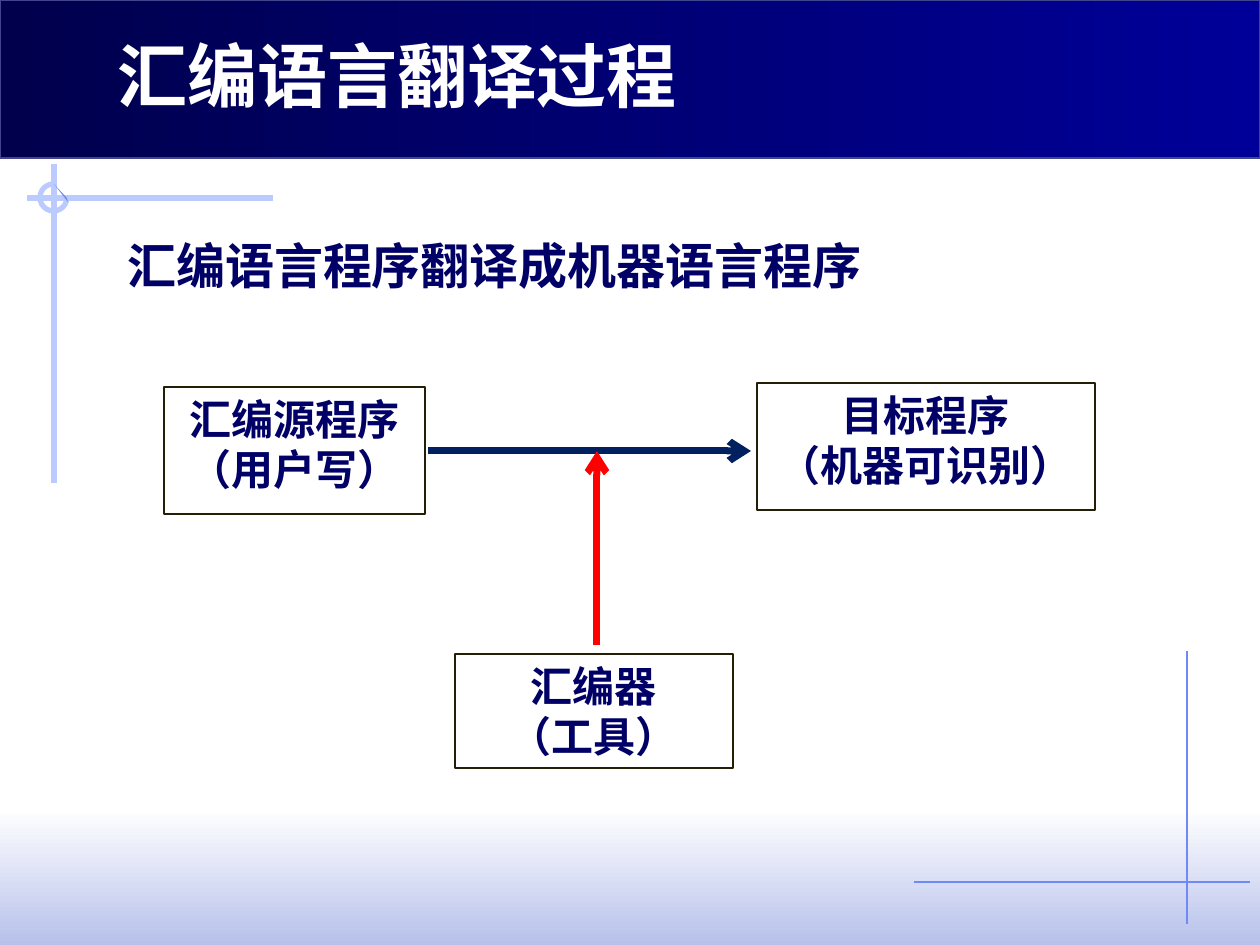
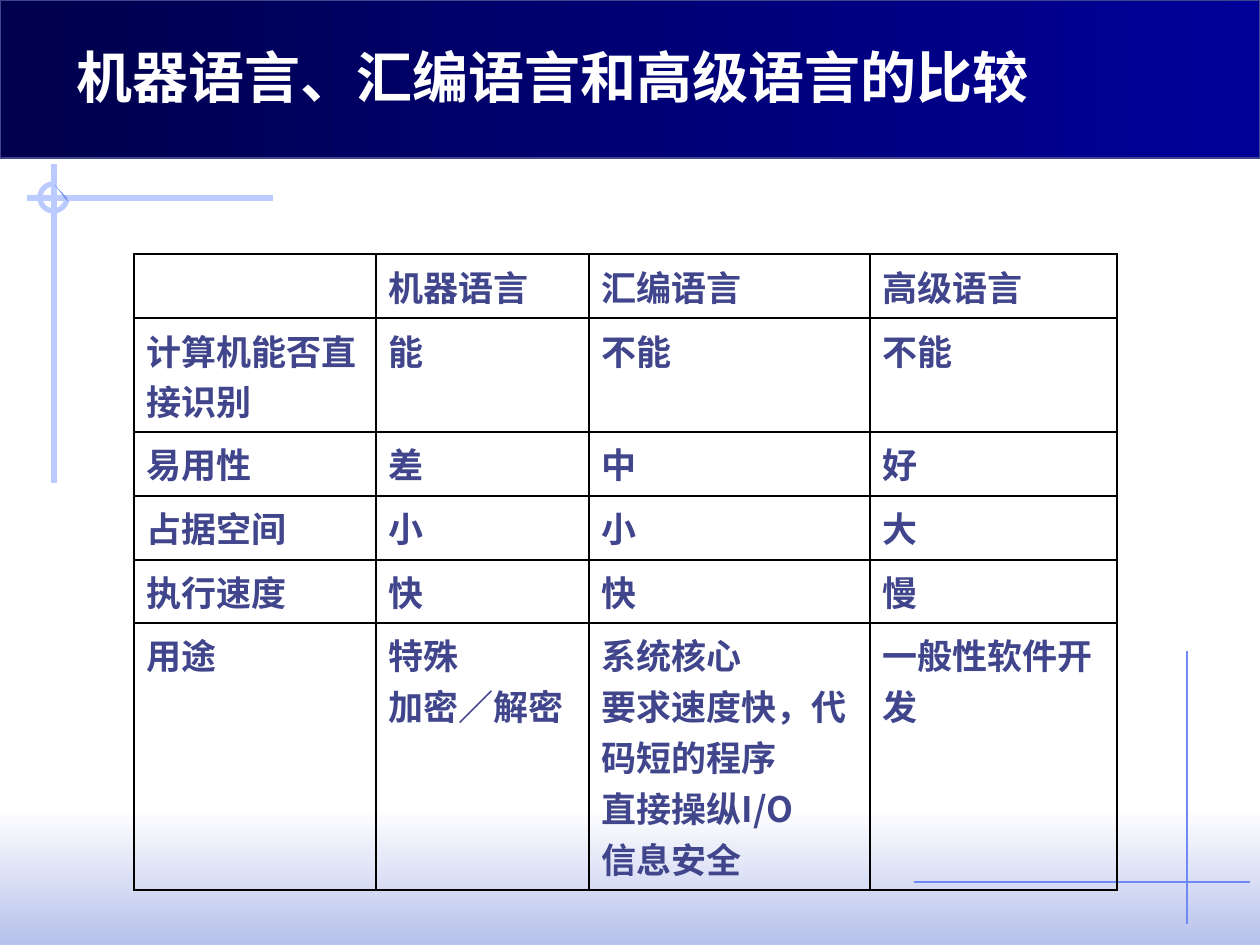
import pptx
import pptx.dml.color
import pptx.enum.shapes
import pptx.enum.text
import pptx.oxml
import pptx.oxml.ns
import pptx.util
from lxml import etree

RGBColor = pptx.dml.color.RGBColor
SHAPE = pptx.enum.shapes.MSO_SHAPE
ALIGN = pptx.enum.text.PP_ALIGN
ANCHOR = pptx.enum.text.MSO_ANCHOR

WHITE = RGBColor(0xFF, 0xFF, 0xFF)
BLACK = RGBColor(0x00, 0x00, 0x00)
BAND_DARK = RGBColor(0x00, 0x00, 0x4D)
BAND_BRIGHT = RGBColor(0x00, 0x00, 0x99)
SLATE = RGBColor(0x40, 0x45, 0x8C)
FOOT_BLUE = RGBColor(0xB7, 0xC1, 0xEB)
PALE_BLUE = RGBColor(0xBB, 0xCB, 0xFD)
MID_BLUE = RGBColor(0x6F, 0x89, 0xF7)
NAVY = RGBColor(0x00, 0x00, 0x66)
FLOW_BLUE = RGBColor(0x00, 0x20, 0x60)
RED = RGBColor(0xFF, 0x00, 0x00)
BOX_EDGE = RGBColor(0x25, 0x1E, 0x07)

TITLE_FONT = "Noto Sans CJK JP"
BODY_FONT = "Noto Sans CJK SC"
BOX_FONT = "Arial"

PAGE_WIDTH, PAGE_HEIGHT = 1260, 945
BAND_HEIGHT = 158
FOOT_HEIGHT = 136

COLUMN_WIDTHS = [242, 213, 281, 247]
ROW_HEIGHTS = [64, 114, 64, 64, 63, 267]
COMPARISON = [
    ["", "机器语言", "汇编语言", "高级语言"],
    ["计算机能否直接识别", "能", "不能", "不能"],
    ["易用性", "差", "中", "好"],
    ["占据空间", "小", "小", "大"],
    ["执行速度", "快", "快", "慢"],
    ["用途", "特殊\n加密／解密",
     "系统核心\n要求速度快，代码短的程序\n直接操纵I/O\n信息安全", "一般性软件开发"],
]


def px(length):
    """Turn px into EMU at 126 px to the inch."""
    return pptx.util.Emu(round(length * 914400 / 126))


def write_text(frame, text, font=BODY_FONT, size=20, color=NAVY,
               align=ALIGN.LEFT, spacing=None):
    """Fill a text frame with one bold paragraph for each line of text."""
    frame.word_wrap = True
    for index, line in enumerate(text.split("\n")):
        para = frame.paragraphs[0] if index == 0 else frame.add_paragraph()
        para.alignment = align
        para.line_spacing = spacing
        span = para.add_run()
        span.text = line
        span.font.name = font
        span.font.size = pptx.util.Pt(size)
        span.font.bold = True
        span.font.color.rgb = color
        east_asian = etree.SubElement(span._r.get_or_add_rPr(), pptx.oxml.ns.qn("a:ea"))
        east_asian.set("typeface", font)


def add_text(page, box, text, anchor=ANCHOR.TOP, **style):
    """Add a text box."""
    label = page.shapes.add_textbox(*map(px, box))
    label.text_frame.vertical_anchor = anchor
    write_text(label.text_frame, text, **style)


def set_line(shape, color, width):
    """Give an outline its colour and its width in points."""
    shape.line.color.rgb = color
    shape.line.width = pptx.util.Pt(width)


def add_plain_shape(page, kind, box):
    """Add a preset shape with no shadow, fill or line."""
    shape = page.shapes.add_shape(kind, *map(px, box))
    shape.shadow.inherit = False
    shape.fill.background()
    shape.line.fill.background()
    return shape


def add_gradient(page, box, colors, angle):
    """Add a rectangle with a two-colour gradient."""
    shape = add_plain_shape(page, SHAPE.RECTANGLE, box)
    shape.fill.gradient()
    shape.fill.gradient_angle = angle
    for stop, color in zip(shape.fill.gradient_stops, colors):
        stop.color.rgb = color
    return shape


def add_line(page, start, end, color, width, arrow=False):
    """Add a straight line, with an open arrowhead at its end if asked."""
    line = page.shapes.add_connector(
        pptx.enum.shapes.MSO_CONNECTOR.STRAIGHT, *map(px, (*start, *end)))
    set_line(line, color, width)
    if arrow:
        head = etree.SubElement(line.line._get_or_add_ln(), pptx.oxml.ns.qn("a:tailEnd"))
        head.set("type", "arrow")
    etree.SubElement(line._element.spPr, pptx.oxml.ns.qn("a:effectLst"))


def add_crosshair(page, left, top):
    """Draw the ringed cross at the upper left of a page."""
    center_x, center_y = left + 27, top + 34
    add_line(page, (left + 246, center_y), (left, center_y), PALE_BLUE, 3)
    add_line(page, (center_x, top), (center_x, top + 319), PALE_BLUE, 3)
    ring = add_plain_shape(page, SHAPE.ARC, (center_x - 14, center_y - 14, 27, 27))
    ring.adjustments[0] = 0
    ring.adjustments[1] = 162
    set_line(ring, PALE_BLUE, 3)
    builder = page.shapes.build_freeform(px(center_x), px(center_y - 14))
    builder.add_line_segments([(px(center_x + 13), px(center_y)),
                               (px(center_x + 14), px(center_y + 4))])
    wedge = builder.convert_to_shape()
    wedge.shadow.inherit = False
    wedge.fill.solid()
    wedge.fill.fore_color.rgb = MID_BLUE
    wedge.line.fill.background()


def add_page(deck, title, title_box, title_size):
    """Add a page with the shared bands, crosses and title."""
    page = deck.slides.add_slide(deck.slide_layouts[6])
    add_gradient(page, (0, PAGE_HEIGHT - FOOT_HEIGHT, PAGE_WIDTH, FOOT_HEIGHT),
                 (WHITE, FOOT_BLUE), 270)
    add_line(page, (1187, 651), (1187, 924), MID_BLUE, 0.75)
    add_crosshair(page, 27, 164)
    band = add_gradient(page, (0, 0, PAGE_WIDTH, BAND_HEIGHT), (BAND_DARK, BAND_BRIGHT), 0)
    set_line(band, SLATE, 0.75)
    add_line(page, (914, 882), (1250, 882), MID_BLUE, 0.75)
    add_text(page, title_box, title, anchor=ANCHOR.MIDDLE, font=TITLE_FONT,
             size=title_size, color=WHITE)
    return page


def add_step(page, box, text):
    """Add one outlined box of the translation diagram."""
    step = add_plain_shape(page, SHAPE.RECTANGLE, box)
    set_line(step, BOX_EDGE, 0.75)
    step.text_frame.vertical_anchor = ANCHOR.TOP
    write_text(step.text_frame, text, font=BOX_FONT, size=24, align=ALIGN.CENTER)


def add_translation_diagram(page, left, top):
    """Draw source, target and assembler, joined by arrows."""
    add_step(page, (left, top + 4, 261, 127), "汇编源程序\n（用户写）")
    add_step(page, (left + 593, top, 338, 127), "目标程序\n（机器可识别）")
    add_step(page, (left + 291, top + 271, 278, 114), "汇编器\n（工具）")
    flow_y, tool_x = top + 68, left + 433
    add_line(page, (left + 264, flow_y), (left + 587, flow_y), FLOW_BLUE, 4, arrow=True)
    add_line(page, (tool_x, top + 262), (tool_x, flow_y), RED, 4, arrow=True)


def set_borders(cell):
    """Draw a thin black line on each side of a table cell."""
    properties = cell._tc.get_or_add_tcPr()
    for index, side in enumerate(("lnL", "lnR", "lnT", "lnB")):
        border = pptx.oxml.parse_xml(
            f'<a:{side} {pptx.oxml.ns.nsdecls("a")} w="12700"><a:solidFill>'
            f'<a:srgbClr val="{BLACK}"/></a:solidFill></a:{side}>')
        properties.insert(index, border)


def add_comparison_table(page, left, top):
    """Add the table that compares the three kinds of language."""
    frame = page.shapes.add_table(
        len(ROW_HEIGHTS), len(COLUMN_WIDTHS), px(left), px(top),
        px(sum(COLUMN_WIDTHS)), px(sum(ROW_HEIGHTS)))
    table = frame.table
    table.first_row = table.horz_banding = False
    for column, width in zip(table.columns, COLUMN_WIDTHS):
        column.width = px(width)
    for row, height, texts in zip(table.rows, ROW_HEIGHTS, COMPARISON):
        row.height = px(height)
        for cell, text in zip(row.cells, texts):
            cell.fill.background()
            set_borders(cell)
            if text:
                write_text(cell.text_frame, text, color=SLATE)


def build_translation_page(deck):
    """Build the page on how assembly language is translated."""
    page = add_page(deck, "汇编语言翻译过程", (105, 26, 1002, 97), 40)
    add_text(page, (115, 241, 1094, 70), "汇编语言程序翻译成机器语言程序",
             size=28, spacing=0.8)
    add_translation_diagram(page, 164, 383)


def build_comparison_page(deck):
    """Build the page that compares the languages."""
    page = add_page(deck, "机器语言、汇编语言和高级语言的比较", (64, 36, 1002, 81), 32)
    add_comparison_table(page, 134, 254)


def main():
    """Build and save the deck."""
    deck = pptx.Presentation()
    deck.slide_width = px(PAGE_WIDTH)
    deck.slide_height = px(PAGE_HEIGHT)
    build_translation_page(deck)
    build_comparison_page(deck)
    deck.save("out.pptx")


if __name__ == "__main__":
    main()
